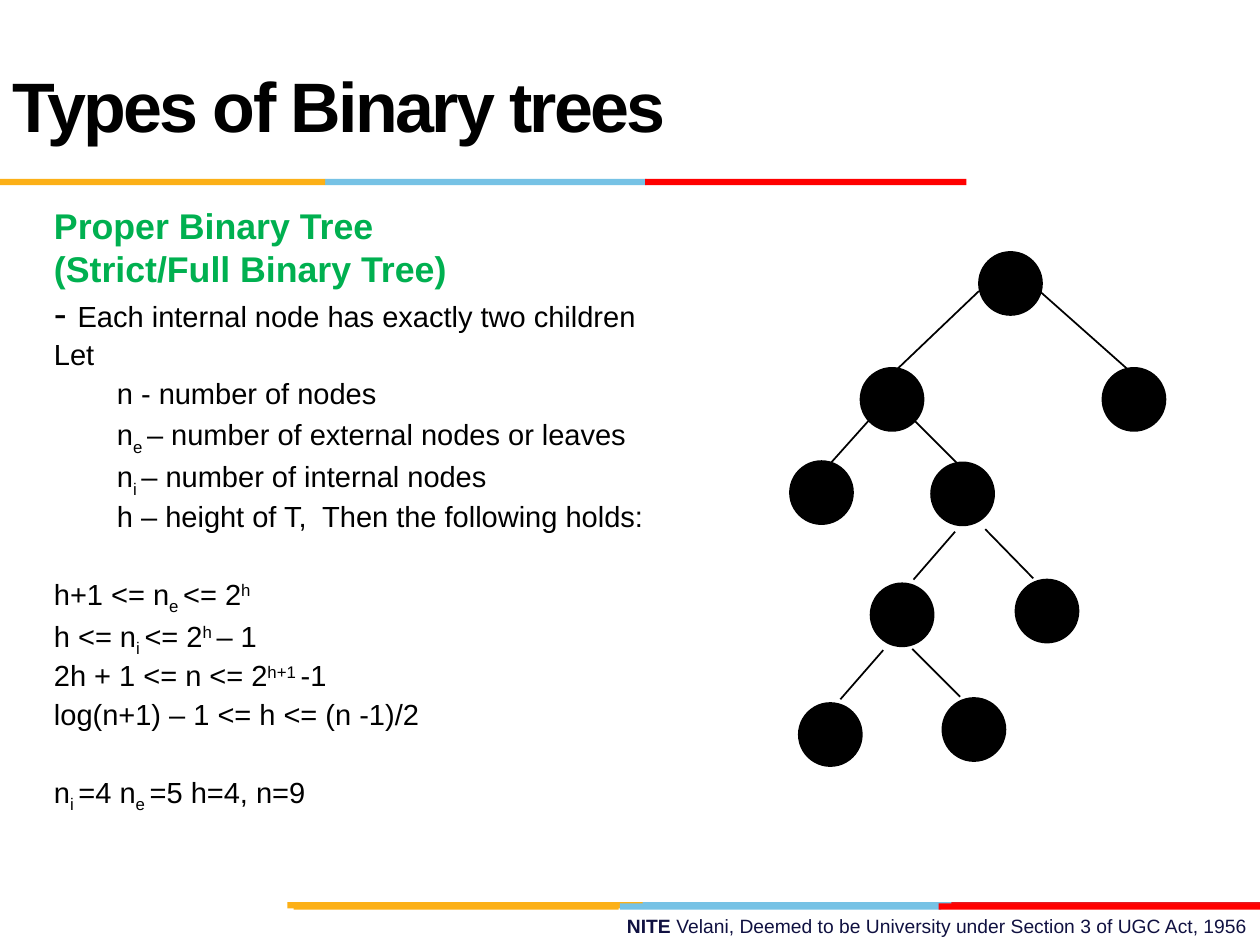
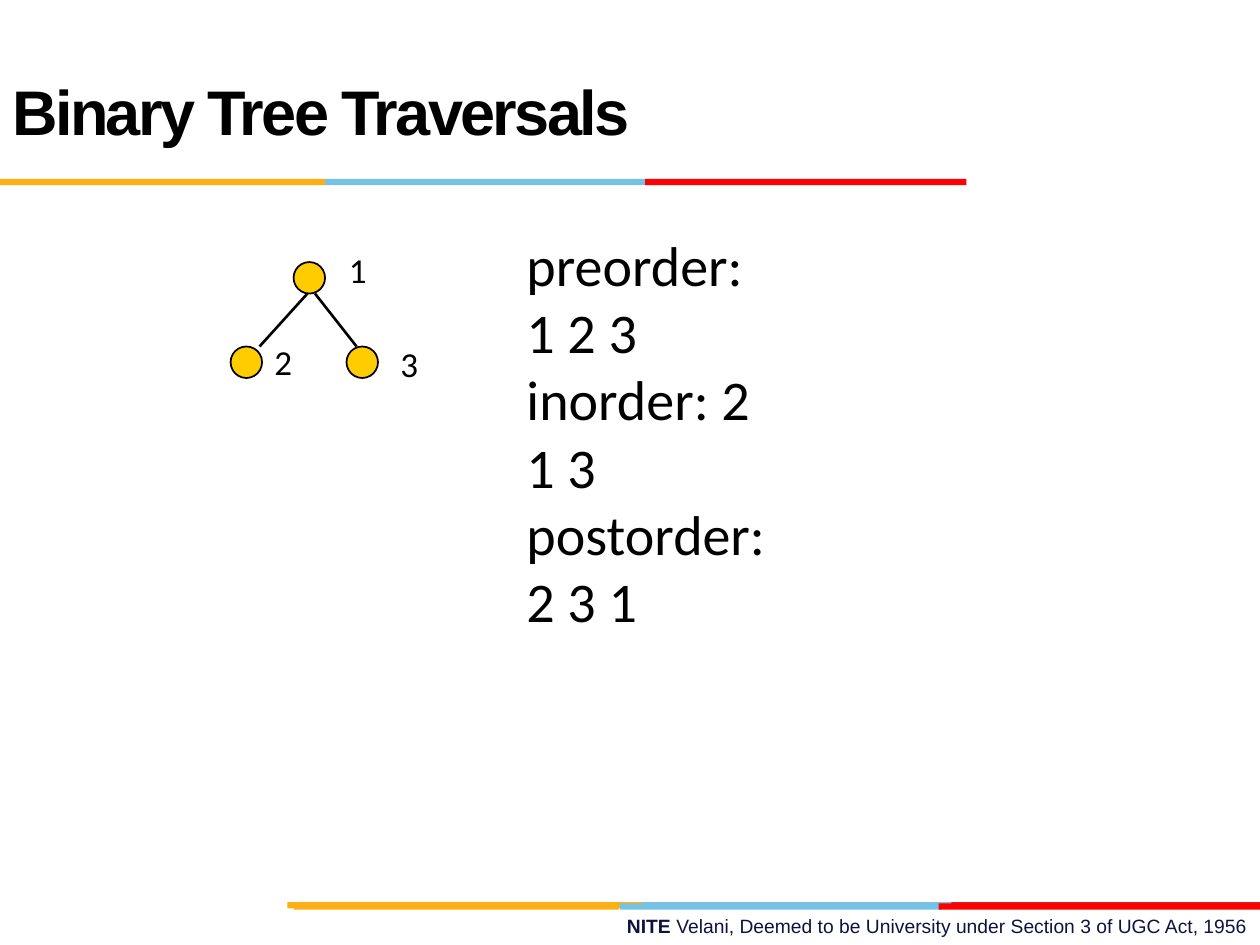
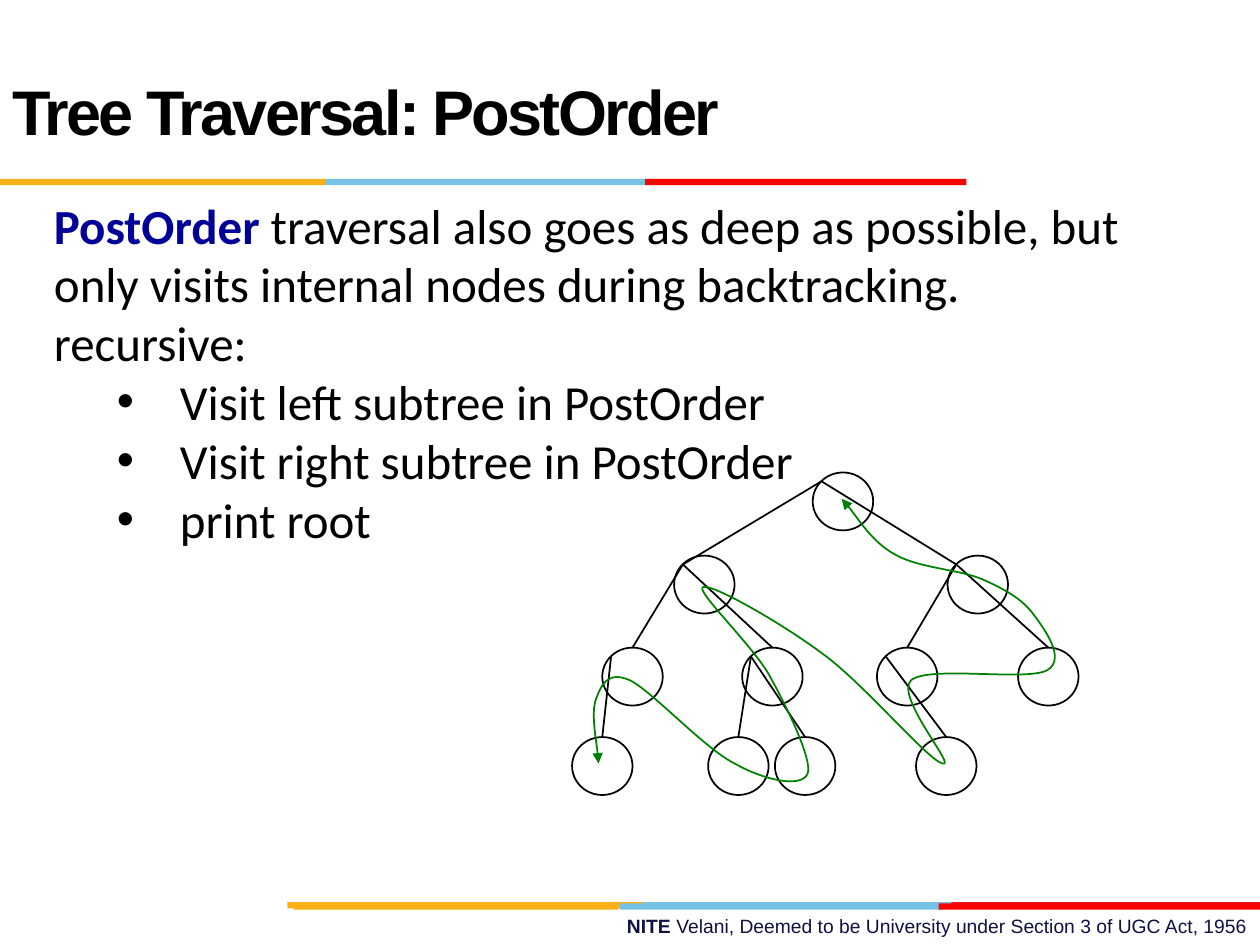
from itertools import product

from lxml import etree
from pptx import Presentation
from pptx import util as u
from pptx.dml.color import RGBColor
from pptx.enum import shapes, text
from pptx.oxml.ns import qn

WIDTH, HEIGHT = u.Inches(10), u.Inches(7.5)
COLUMNS, ROWS = 10, 7.5

BLACK = RGBColor(0x00, 0x00, 0x00)
NAVY = RGBColor(0x10, 0x11, 0x41)
BLUE = RGBColor(0x00, 0x00, 0x99)
GREEN = RGBColor(0x00, 0xB0, 0x50)
ROUTE_GREEN = RGBColor(0x00, 0x80, 0x00)
GOLD = RGBColor(0xFF, 0xCC, 0x00)
AMBER = RGBColor(0xFC, 0xB0, 0x17)
SKY = RGBColor(0x76, 0xC2, 0xE5)
RED = RGBColor(0xFF, 0x00, 0x00)
CRIMSON = RGBColor(0xE3, 0x1C, 0x24)

BAND_HEIGHT = 0.05
BANDS = [
    (5.06, 7.16, 2.55, SKY), (7.55, 7.16, 2.45, CRIMSON), (2.28, 7.16, 2.82, AMBER),
    (4.92, 7.17, 2.55, SKY), (2.33, 7.17, 2.58, AMBER), (7.45, 7.17, 2.55, RED),
    (2.58, 1.42, 2.55, SKY), (0, 1.42, 2.58, AMBER), (5.12, 1.42, 2.55, RED),
]

FOOTER = {"name": "Arial", "size": 11, "color": NAVY}
TITLE = {"name": "Arial", "size": 36, "bold": True, "spc": -150}
HEADING = {"name": "Arial", "size": 20.4, "bold": True, "color": GREEN}
DASH = {"name": "Arial", "size": 22.2}
BODY = {"name": "Arial", "size": 16.6}
SUBSCRIPT = {**BODY, "baseline": -25000}
SUPERSCRIPT = {**BODY, "baseline": 30000}
ORDERS = {"name": "Calibri", "size": 32}
LABEL = {"name": "Calibri", "size": 20}
PROSE = {"name": "Calibri", "size": 28}

OUTER = {"left": 0.38, "hang": 0.38, "line_spacing": 0.8}
HEAD = {**OUTER, "space_before": u.Pt(5)}
RULE = {**OUTER, "space_before": u.Pt(6)}
RULE_AFTER_GAP = {**OUTER, "space_before": u.Pt(27)}
TERM = {**RULE, "left": 0.81, "hang": 0.31}
BULLET = {"left": 1, "hang": 0.5, "bullet": "•"}

PROPER_TREE_TEXT = [
    (HEAD, [("Proper Binary Tree", HEADING)]),
    (HEAD, [("(Strict/Full Binary Tree)", HEADING)]),
    (HEAD, [("- ", DASH), ("Each internal node has exactly two children", BODY)]),
    (HEAD, [("Let", BODY)]),
    (TERM, [("n - number of nodes", BODY)]),
    (TERM, [("n", BODY), ("e ", SUBSCRIPT), ("– number of external nodes or leaves", BODY)]),
    (TERM, [("n", BODY), ("i ", SUBSCRIPT), ("– number of internal nodes", BODY)]),
    (TERM, [("h – height of T,  Then the following holds:", BODY)]),
    (RULE_AFTER_GAP, [("h+1 <= n", BODY), ("e ", SUBSCRIPT), ("<= 2", BODY), ("h", SUPERSCRIPT)]),
    (RULE, [("h <= n", BODY), ("i ", SUBSCRIPT), ("<= 2", BODY), ("h ", SUPERSCRIPT), ("– 1", BODY)]),
    (RULE, [("2h + 1 <= n <= 2", BODY), ("h+1 ", SUPERSCRIPT), ("-1", BODY)]),
    (RULE, [("log(n+1) – 1 <= h <= (n -1)/2", BODY)]),
    (RULE_AFTER_GAP, [("n", BODY), ("i ", SUBSCRIPT), ("=4 n", BODY), ("e ", SUBSCRIPT),
                      ("=5 h=4, n=9", BODY)]),
]
PROPER_TREE_NODES = [
    (7.77, 2), (6.83, 2.92), (8.75, 2.92), (6.27, 3.66), (7.39, 3.67),
    (6.91, 4.63), (8.06, 4.6), (6.34, 5.58), (7.48, 5.54),
]
PROPER_TREE_EDGES = [
    ((7.77, 2.31), (7.11, 2.94)), ((8.25, 2.31), (8.96, 2.94)),
    ((6.92, 3.31), (6.58, 3.69)), ((7.23, 3.31), (7.61, 3.69)),
    ((7.58, 4.22), (7.25, 4.6)), ((7.82, 4.2), (8.2, 4.59)),
    ((7.01, 5.16), (6.67, 5.55)), ((7.24, 5.15), (7.62, 5.53)),
]

SMALL_TREE_NODES = [(2.33, 2.08), (1.83, 2.75), (2.75, 2.75)]
SMALL_TREE_EDGES = [((2.44, 2.33), (2.06, 2.75)), ((2.5, 2.33), (2.83, 2.75))]
SMALL_TREE_LABELS = [("1", 2.67, 1.92), ("2", 2.08, 2.65), ("3", 3.08, 2.67)]

POSTORDER_TEXT = [
    ({}, [("PostOrder", {**PROSE, "bold": True, "color": BLUE}),
          (" traversal also goes as deep as possible, but only visits internal nodes"
           " during backtracking.", PROSE)]),
    ({}, [("recursive:", PROSE)]),
    (BULLET, [("Visit left subtree in PostOrder", PROSE)]),
    (BULLET, [("Visit right subtree in PostOrder", PROSE)]),
    (BULLET, [("print root", PROSE)]),
]
VISIT_SIZE = (0.48, 0.46)
VISIT_CORNER = 0.07
VISIT_LEVELS = [
    (3.75, {"root": 6.45}),
    (4.41, {"A": 5.35, "B": 7.52}),
    (5.14, {"C": 4.78, "D": 5.89, "E": 6.96, "F": 8.08}),
    (5.85, {"G": 4.54, "H": 5.62, "I": 6.15, "J": 7.27}),
]
VISIT_CHILDREN = {"root": "AB", "A": "CD", "B": "EF", "C": "G", "D": "HI", "E": "J"}
VISIT_ROUTE = [
    (4.75, 6.06), (4.75, 5.98), (4.69, 5.66), (4.73, 5.55), (4.77, 5.44), (4.82, 5.32),
    (5, 5.4), (5.18, 5.49), (5.59, 5.94), (5.83, 6.06), (6.06, 6.19), (6.36, 6.26),
    (6.41, 6.14), (6.45, 6.03), (6.24, 5.6), (6.1, 5.35), (5.96, 5.11), (5.51, 4.68),
    (5.58, 4.66), (5.65, 4.63), (6.21, 4.95), (6.53, 5.19), (6.85, 5.42), (7.36, 6.03),
    (7.48, 6.06), (7.6, 6.1), (7.1, 5.53), (7.23, 5.4), (7.37, 5.28), (8.15, 5.41),
    (8.31, 5.32), (8.47, 5.23), (8.28, 4.98), (8.19, 4.86), (8.1, 4.75), (7.98, 4.68),
    (7.8, 4.6), (7.62, 4.52), (7.29, 4.51), (7.1, 4.4), (6.92, 4.3), (6.77, 4.05),
    (6.68, 3.96),
]


def across(columns):
    return round(WIDTH * columns / COLUMNS)


def down(rows):
    return round(HEIGHT * rows / ROWS)


def place(left, top, width, height):
    return across(left), down(top), across(width), down(height)


def add_run(paragraph, words, style):
    run = paragraph.add_run()
    run.text = words
    values = {"bold": False, **style, "size": u.Pt(style["size"])}
    run.font.color.rgb = values.pop("color", BLACK)
    for name, value in values.items():
        if name in ("spc", "baseline"):
            run.font._element.set(name, str(value))
        else:
            setattr(run.font, name, value)


def format_paragraph(paragraph, layout):
    values = dict(layout)
    properties = paragraph._p.get_or_add_pPr()
    properties.set("marL", str(across(values.pop("left", 0))))
    properties.set("indent", str(-across(values.pop("hang", 0))))
    bullet = values.pop("bullet", None)
    for name, value in values.items():
        setattr(paragraph, name, value)
    if bullet:
        font = etree.SubElement(properties, qn("a:buFont"))
        font.set("typeface", "Arial")
        etree.SubElement(properties, qn("a:buChar")).set("char", bullet)


def add_text(slide, box, paragraphs, anchor=text.MSO_ANCHOR.TOP, wrap=True):
    frame = slide.shapes.add_textbox(*place(*box)).text_frame
    frame.word_wrap = wrap
    frame.vertical_anchor = anchor
    for index, (layout, runs) in enumerate(paragraphs):
        paragraph = frame.add_paragraph() if index else frame.paragraphs[0]
        format_paragraph(paragraph, layout)
        for words, style in runs:
            add_run(paragraph, words, style)


def add_shape(slide, kind, box, fill=None, line=None):
    shape = slide.shapes.add_shape(kind, *place(*box))
    shape.shadow.inherit = False
    if fill is None:
        shape.fill.background()
    else:
        shape.fill.solid()
        shape.fill.fore_color.rgb = fill
    if line is None:
        shape.line.fill.background()
    else:
        shape.line.color.rgb = line
        shape.line.width = u.Pt(1)
    return shape


def add_node(slide, corner, size, fill=None):
    return add_shape(slide, shapes.MSO_SHAPE.OVAL, (*corner, *size), fill, BLACK)


def add_edge(slide, start, end, width=1):
    edge = slide.shapes.add_connector(
        shapes.MSO_CONNECTOR.STRAIGHT,
        across(start[0]), down(start[1]), across(end[0]), down(end[1]))
    edge.line.color.rgb = BLACK
    edge.line.width = u.Pt(width)
    etree.SubElement(edge._element.spPr, qn("a:effectLst"))
    return edge


def add_route(slide, points):
    start, *others = [(across(x), down(y)) for x, y in points]
    builder = slide.shapes.build_freeform(*start)
    builder.add_line_segments(others, close=False)
    route = builder.convert_to_shape()
    route.shadow.inherit = False
    route.fill.background()
    route.line.color.rgb = ROUTE_GREEN
    route.line.width = u.Pt(1)
    for end in ("a:headEnd", "a:tailEnd"):
        etree.SubElement(route.line._get_or_add_ln(), qn(end)).set("type", "triangle")
    segments = list(route._element.iter(qn("a:lnTo")))
    for first, second, third in zip(*[iter(segments)] * 3):
        first.tag = qn("a:cubicBezTo")
        for segment in (second, third):
            first.append(segment[0])
            segment.getparent().remove(segment)


def add_frame(presentation, title, box=(0, 0.25, 8.5, 1.25), size=36):
    slide = presentation.slides.add_slide(presentation.slide_layouts[6])
    add_text(slide, (3.58, 7.21, 6.42, 0.29), [
        ({"alignment": text.PP_ALIGN.RIGHT},
         [("NITE ", {**FOOTER, "bold": True}),
          ("Velani, Deemed to be University under Section 3 of UGC Act, 1956", FOOTER)])])
    for left, top, width, color in BANDS:
        add_shape(slide, shapes.MSO_SHAPE.RECTANGLE, (left, top, width, BAND_HEIGHT), color)
    add_text(slide, box, [({}, [(title, {**TITLE, "size": size})])], text.MSO_ANCHOR.MIDDLE)
    return slide


def add_plain_tree(slide, nodes, edges, diameter, fill, width=1):
    for start, end in edges:
        add_edge(slide, start, end, width)
    for corner in nodes:
        add_node(slide, corner, (diameter, diameter), fill)


def add_visit_tree(slide):
    corners = {name: (left, top) for top, level in VISIT_LEVELS for name, left in level.items()}
    nodes = {name: add_node(slide, corner, VISIT_SIZE) for name, corner in corners.items()}
    starts = {name: (left + VISIT_CORNER, top + VISIT_CORNER)
              for name, (left, top) in corners.items()}
    for parent, children in VISIT_CHILDREN.items():
        for start, child in product([starts[parent]], children):
            edge = add_edge(slide, start, starts[child])
            if parent != "root":
                edge.end_connect(nodes[child], 0)


def build_proper_tree(presentation):
    slide = add_frame(presentation, "Types of Binary trees", (0, 0.32, 6.58, 1.02), 40)
    add_text(slide, (0.33, 1.63, 5.51, 4.95), PROPER_TREE_TEXT)
    add_plain_tree(slide, PROPER_TREE_NODES, PROPER_TREE_EDGES, 0.5, BLACK)


def build_traversals(presentation):
    slide = add_frame(presentation, "Binary Tree Traversals")
    lines = ["preorder: 1 2 3", "inorder: 2 1 3", "postorder: 2 3 1"]
    add_text(slide, (4.08, 1.78, 2.18, 3.3), [({}, [(line, ORDERS)]) for line in lines])
    add_plain_tree(slide, SMALL_TREE_NODES, SMALL_TREE_EDGES, 0.25, GOLD, 1.5)
    for number, left, top in SMALL_TREE_LABELS:
        add_text(slide, (left, top, 0.34, 0.44), [({}, [(number, LABEL)])])


def build_postorder(presentation):
    slide = add_frame(presentation, "Tree Traversal: PostOrder")
    add_text(slide, (0.33, 1.5, 9.25, 3), POSTORDER_TEXT)
    add_visit_tree(slide)
    add_route(slide, VISIT_ROUTE)


def main():
    presentation = Presentation()
    presentation.slide_width, presentation.slide_height = WIDTH, HEIGHT
    build_proper_tree(presentation)
    build_traversals(presentation)
    build_postorder(presentation)
    presentation.save("out.pptx")


if __name__ == "__main__":
    main()
